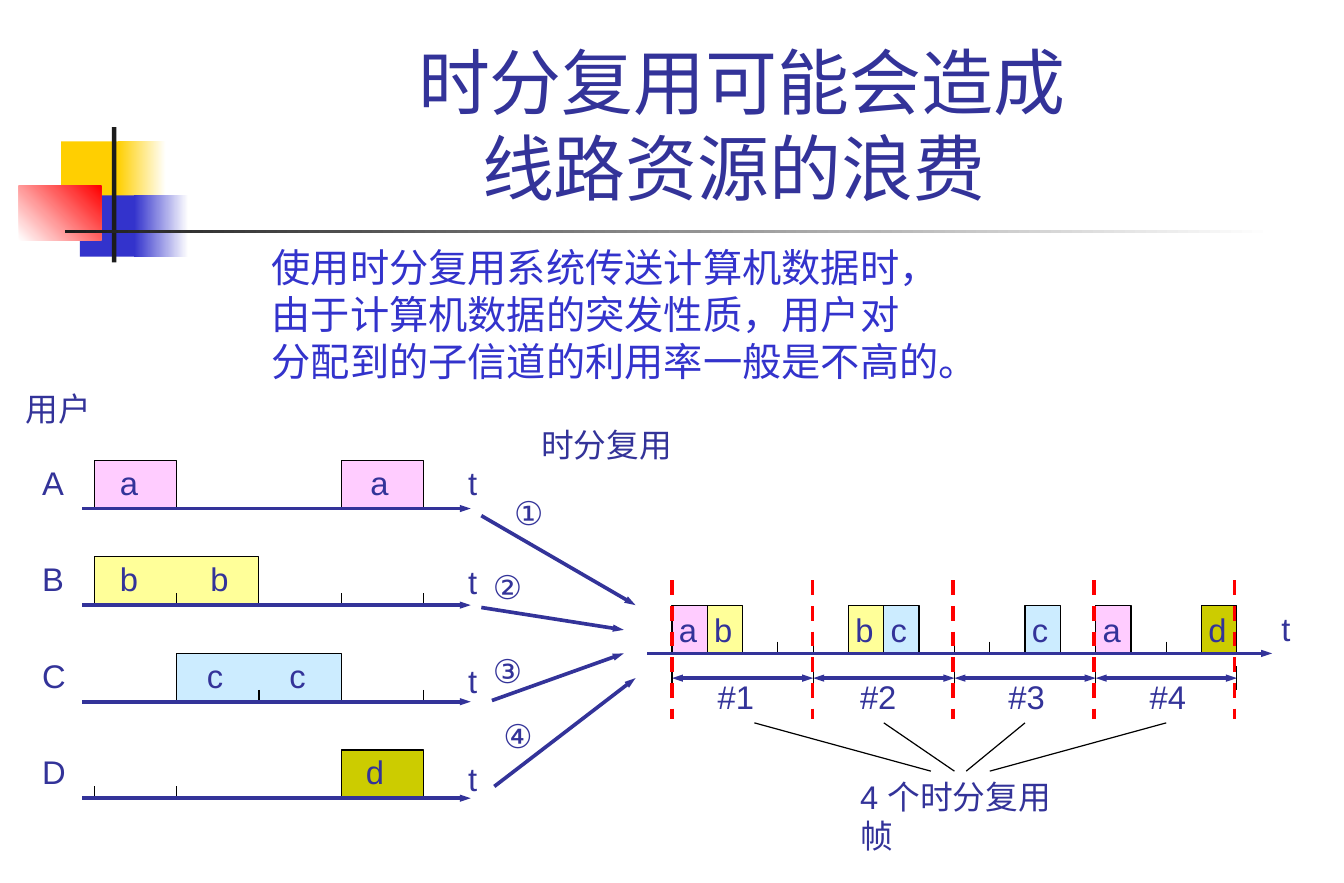
from pptx import Presentation
from pptx.dml.color import RGBColor
from pptx.enum.dml import MSO_LINE
from pptx.enum.shapes import MSO_CONNECTOR, MSO_SHAPE
from pptx.enum.text import MSO_ANCHOR, MSO_AUTO_SIZE, PP_ALIGN
from pptx.oxml.ns import qn
from pptx.util import Inches, Pt
from lxml.etree import SubElement

NAVY, BLUE, BLACK, RED = "333399", "3333CC", "000000", "FF0000"
YELLOW, CHARCOAL, WHITE = "FFCF01", "1C1C1C", "FFFFFF"
USER_COLOURS = {"a": "FFCCFF", "b": "FFFF99", "c": "CCECFF", "d": "CCCC00"}
CJK_FONT = "Noto Sans CJK SC"

# Grid: user time slots on the left, multiplexed slots on the right
USER_LEFT, USER_SLOT = 0.8, 0.7
USER_TOP, USER_PITCH = 4.32, 0.82
LINK_LEFT, LINK_SLOT, LINK_AXIS = 5.71, 0.3, 5.55
FRAME_SLOTS, FRAME_COUNT = 4, 4
BLOCK_HEIGHT, TICK = 0.41, 0.1
SPAN_AXIS = LINK_AXIS + 0.21


def colour(code):
    return RGBColor.from_string(code)


def user_x(column):
    return USER_LEFT + column * USER_SLOT


def user_y(row):
    return USER_TOP + row * USER_PITCH


def link_x(slot):
    return LINK_LEFT + slot * LINK_SLOT


def add_text(para, text, size, font="Arial", code=NAVY):
    span = para.add_run()
    span.text = text
    for name, value in {"name": font, "size": Pt(size), "bold": False}.items():
        setattr(span.font, name, value)
    span.font.color.rgb = colour(code)
    if not text.isascii():
        SubElement(span._r.get_or_add_rPr(), qn("a:ea")).set("typeface", CJK_FONT)
        para.line_spacing = Pt(round(size * 1.19, 1))


def add_label(page, lines, left, top, width=0.7, height=0.44, wrap=False, **style):
    box = page.shapes.add_textbox(Inches(left), Inches(top), Inches(width), Inches(height))
    frame = box.text_frame
    frame.word_wrap = wrap
    for index, line in enumerate(lines):
        para = frame.add_paragraph() if index else frame.paragraphs[0]
        add_text(para, line, **{"size": 20, **style})


def add_line(page, start, end, code=BLACK, width=0.75, arrows=(), dash=None):
    line = page.shapes.add_connector(
        MSO_CONNECTOR.STRAIGHT, *(Inches(value) for value in (*start, *end)))
    line.line.color.rgb = colour(code)
    line.line.width = Pt(width)
    if dash:
        line.line.dash_style = dash
    for arrow in arrows:
        head = SubElement(line.line._get_or_add_ln(), qn(f"a:{arrow}"))
        for name, value in {"type": "triangle", "w": "sm", "len": "med"}.items():
            head.set(name, value)
    SubElement(line._element.spPr, qn("a:effectLst"))


def add_arrow(page, start, end, arrows=("tailEnd",)):
    add_line(page, start, end, NAVY, 2.25, arrows)


def add_tick(page, x, axis):
    add_line(page, (x, axis - TICK), (x, axis))


def add_block(page, left, axis, width, code):
    """Data block outlined on three sides, standing open on its time axis."""
    right, top = left + width, axis - BLOCK_HEIGHT
    builder = page.shapes.build_freeform(Inches(left), Inches(axis))
    corners = [(left, top), (right, top), (right, axis)]
    builder.add_line_segments([(Inches(x), Inches(y)) for x, y in corners], close=False)
    block = builder.convert_to_shape()
    block.shadow.inherit = False
    block.fill.solid()
    block.fill.fore_color.rgb = colour(code)
    block.line.color.rgb = colour(BLACK)
    block.line.width = Pt(0.75)


def add_panel(page, left, top, width, height, codes, angle=0):
    panel = page.shapes.add_shape(
        MSO_SHAPE.RECTANGLE, *(Inches(value) for value in (left, top, width, height)))
    panel.shadow.inherit = False
    panel.line.fill.background()
    if len(codes) == 1:
        panel.fill.solid()
        panel.fill.fore_color.rgb = colour(codes[0])
        return
    panel.fill.gradient()
    panel.fill.gradient_angle = angle
    for stop, code in zip(panel.fill.gradient_stops, codes):
        stop.color.rgb = colour(code)


def add_decoration(page):
    add_panel(page, 0.52, 1.2, 0.55, 0.52, [YELLOW])
    add_panel(page, 1, 1.2, 0.41, 0.52, [YELLOW, WHITE])
    add_panel(page, 0.68, 1.66, 0.53, 0.52, [BLUE])
    add_panel(page, 1.14, 1.66, 0.46, 0.52, [BLUE, WHITE])
    add_panel(page, 0.16, 1.58, 0.7, 0.46, [WHITE, RED], 45)
    add_panel(page, 0.95, 1.08, 0.04, 1.15, [CHARCOAL])
    add_panel(page, 0.55, 1.95, 10.27, 0.03, [CHARCOAL, WHITE])


def add_title(page):
    title = page.shapes.title
    place = {"left": 1.44, "top": 0.23, "width": 9.73, "height": 1.6}
    for name, value in place.items():
        setattr(title, name, Inches(value))
    frame = title.text_frame
    layout = {"vertical_anchor": MSO_ANCHOR.BOTTOM, "auto_size": MSO_AUTO_SIZE.NONE,
              "word_wrap": True}
    for name, value in layout.items():
        setattr(frame, name, value)
    para = frame.paragraphs[0]
    para.alignment = PP_ALIGN.CENTER
    add_text(para, "时分复用可能会造成", 44)
    para.add_line_break()
    add_text(para, "线路资源的浪费 ", 44)


def add_users(page):
    # Each user: blocks as (first column, columns), letter positions, visible ticks
    users = [
        ("a", [(0, 1), (3, 1)], [0.92, 3.05], []),
        ("b", [(0, 2)], [0.92, 1.69], [1, 3, 4]),
        ("c", [(1, 2)], [1.66, 2.36], [2, 4]),
        ("d", [(3, 1)], [3.01], [0, 1, 3]),
    ]
    add_label(page, ["用户"], 0.12, 3.26, 0.76)
    for row, (letter, blocks, letter_lefts, ticks) in enumerate(users):
        axis = user_y(row)
        for column, count in blocks:
            add_block(page, user_x(column), axis, count * USER_SLOT, USER_COLOURS[letter])
        for left in letter_lefts:
            add_label(page, [letter], left, axis - 0.44)
        for column in ticks:
            add_tick(page, user_x(column), axis)
        add_label(page, [letter.upper()], 0.26, axis - 0.44)
        add_label(page, ["t"], 3.88, axis - 0.44 + 0.02 * row)
        add_arrow(page, (0.7, axis), (4, axis))


def add_multiplexing(page):
    add_label(page, ["时分复用"], 4.5, 3.56, 1.32)
    inputs = [
        ("①", (4.27, 4.14), (4.09, 4.38), (5.4, 5.14)),
        ("②", (4.09, 4.77), (4.09, 5.16), (5.3, 5.35)),
        ("③", (4.09, 5.48), (4.18, 5.95), (5.3, 5.55)),
        ("④", (4.18, 6.03), (4.2, 6.68), (5.4, 5.76)),
    ]
    for number, place, start, end in inputs:
        add_arrow(page, start, end)
        add_label(page, [number], *place)


def add_link(page):
    # Occupied slots and the shared time axis
    for slot, letter in zip([0, 1, 5, 6, 10, 12, 15], "abbccad"):
        add_block(page, link_x(slot), LINK_AXIS, LINK_SLOT, USER_COLOURS[letter])
        add_label(page, [letter], link_x(slot) - 0.04, LINK_AXIS - 0.42)
    for slot in (2, 3, 4, 8, 9, 14):
        add_tick(page, link_x(slot), LINK_AXIS)
    add_arrow(page, (5.5, LINK_AXIS), (10.81, LINK_AXIS))
    add_label(page, ["t"], 10.79, LINK_AXIS - 0.43, 0.4)

    # Frame spans, their names and the pointers to the caption
    names = [6, 7.21, 8.47, 9.67]
    pointers = [(6.41, 7.91), (7.51, 8.11), (8.71, 8.21), (9.91, 8.41)]
    for frame, (left, (top_x, bottom_x)) in enumerate(zip(names, pointers)):
        start = link_x(frame * FRAME_SLOTS)
        end = link_x((frame + 1) * FRAME_SLOTS)
        add_arrow(page, (start, SPAN_AXIS), (end, SPAN_AXIS), ("headEnd", "tailEnd"))
        add_label(page, [f"#{frame + 1}"], left, 5.7)
        add_line(page, (top_x, 6.14), (bottom_x, 6.55))
    add_label(page, ["4 个时分复用帧"], 7.21, 6.55, 1.95, 0.8, wrap=True)

    # Frame boundaries
    for frame in range(FRAME_COUNT + 1):
        x = link_x(frame * FRAME_SLOTS)
        add_line(page, (x, SPAN_AXIS - TICK), (x, SPAN_AXIS + TICK))
        dash_x = x - 0.005 * frame
        add_line(page, (dash_x, 4.93), (dash_x, 6.11), RED, 2.25, dash=MSO_LINE.DASH)


def main():
    deck = Presentation()
    deck.slide_width, deck.slide_height = Inches(11.42), Inches(7.5)
    page = deck.slides.add_slide(deck.slide_layouts[5])
    add_decoration(page)
    add_title(page)
    add_label(page, ["使用时分复用系统传送计算机数据时，", "由于计算机数据的突发性质，用户对",
                     "分配到的子信道的利用率一般是不高的。"],
              2.21, 2.02, 6.43, 1.31, size=24, font=CJK_FONT, code=BLUE)
    add_users(page)
    add_multiplexing(page)
    add_link(page)
    deck.save("out.pptx")


if __name__ == "__main__":
    main()
